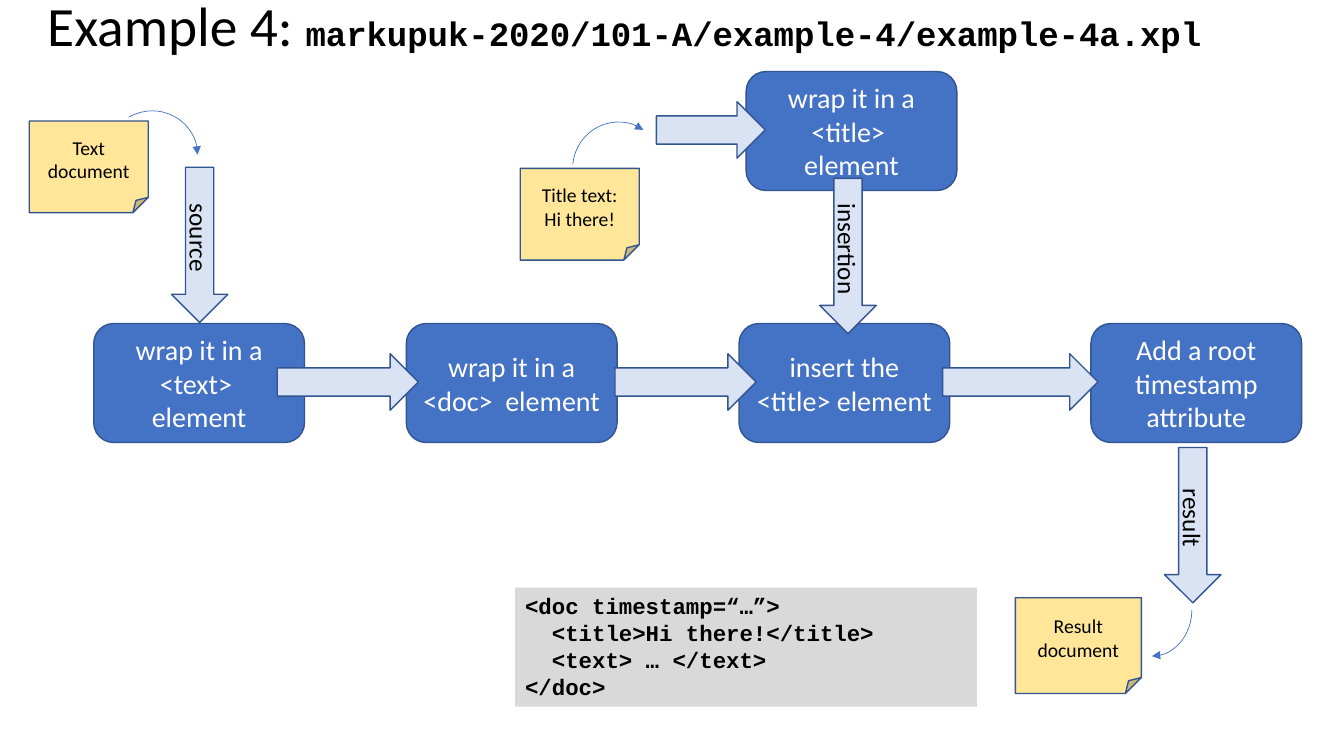
from lxml import etree
from pptx import Presentation
from pptx.dml.color import RGBColor
from pptx.enum.shapes import MSO_SHAPE
from pptx.enum.text import MSO_ANCHOR, PP_ALIGN
from pptx.oxml.ns import qn
from pptx.util import Inches, Pt

STEP, ARROW = MSO_SHAPE.ROUNDED_RECTANGLE, MSO_SHAPE.RIGHT_ARROW
NOTE, ARC, PANEL = MSO_SHAPE.FOLDED_CORNER, MSO_SHAPE.ARC, MSO_SHAPE.RECTANGLE
MIDDLE, TOP = MSO_ANCHOR.MIDDLE, MSO_ANCHOR.TOP
CENTER, LEFT = PP_ALIGN.CENTER, PP_ALIGN.LEFT
BODY_FONT, CODE_FONT = "Calibri", "Courier New"
COLORS = {
    "step": "4472C4", "outline": "325491", "arrow": "DAE3F3", "note": "FFE699",
    "panel": "D9D9D9", "black": "000000", "white": "FFFFFF",
}
ROW_TOP = 3.21
STEPS = [
    (0.93, ROW_TOP, "wrap it in a <text>  element"),
    (4.03, ROW_TOP, "wrap it in a <doc>  element"),
    (7.33, ROW_TOP, "insert the <title> element"),
    (10.82, ROW_TOP, "Add a root timestamp attribute"),
    (7.4, 0.71, "wrap it in a <title>  element"),
]
FLOW_ARROWS = [(2.75, 3.51, 1.4), (6.1, 3.51, 1.4), (9.35, 3.51, 1.54), (6.51, 1.01, 1.08)]
PORT_ARROWS = [(1.21, 2.15, "source"), (11.06, 4.93, "result"), (7.64, 2.26, "insertion")]
NOTES = [
    (0.29, 1.2, 1.18, 0.91, "Text document"),
    (10.07, 5.93, 1.25, 0.95, "Result document"),
    (5.16, 1.67, 1.18, 0.91, "Title text:\vHi there!"),
]
CODE_LINES = ["<doc timestamp=“…”>", "  <title>Hi there!</title>", "  <text> … </text>", "</doc>"]


def color(name):
    """Return the named colour."""
    return RGBColor.from_string(COLORS[name])


def style_font(font, name, size, shade, bold=False):
    """Set the face, size, colour and weight of a font."""
    font.name, font.size, font.bold = name, Pt(size), bold
    font.color.rgb = color(shade)


def add_filled(page, kind, area, fill, outline="outline"):
    """Add a filled preset shape, outlined unless outline is None."""
    shape = page.shapes.add_shape(kind, *map(Inches, area))
    shape.shadow.inherit = False
    shape.fill.solid()
    shape.fill.fore_color.rgb = color(fill)
    if outline:
        shape.line.color.rgb = color(outline)
        shape.line.width = Pt(1)
    else:
        shape.line.fill.background()
    return shape


def add_label(shape, text, size, shade):
    """Write one centred label in a shape."""
    shape.text_frame.vertical_anchor = MIDDLE
    para = shape.text_frame.paragraphs[0]
    para.text = text
    para.alignment = CENTER
    style_font(para.font, BODY_FONT, size, shade)


def add_arc(page, area, end, start_angle=None, rotation=0, flip=False):
    """Add a thin curved arrow with its head at the given line end."""
    arc = page.shapes.add_shape(ARC, *map(Inches, area))
    arc.shadow.inherit = False
    arc.fill.background()
    arc.line.color.rgb = color("step")
    arc.line.width = Pt(0.5)
    arc.rotation = rotation
    if start_angle:
        arc.adjustments[0] = start_angle
    if flip:
        arc.element.spPr.find(qn("a:xfrm")).set("flipV", "1")
    line = arc.element.spPr.find(qn("a:ln"))
    etree.SubElement(line, qn(f"a:{end}End")).set("type", "triangle")


def add_title(page):
    """Add the heading with its file path."""
    box = page.shapes.add_textbox(Inches(0.37), Inches(0), Inches(12.3), Inches(0.56))
    frame = box.text_frame
    frame.word_wrap = True
    frame.vertical_anchor = MIDDLE
    para = frame.paragraphs[0]
    para.line_spacing = 0.9
    for text, name, size, bold in [
        ("Example 4: ", BODY_FONT, 39.6, False),
        ("markupuk-2020/101-A/example-4/example-4a.xpl", CODE_FONT, 24.3, True),
    ]:
        span = para.add_run()
        span.text = text
        style_font(span.font, name, size, "black", bold)


def add_code(page):
    """Add the panel with the resulting document."""
    panel = add_filled(page, PANEL, (5.11, 5.83, 4.58, 1.18), "panel", None)
    frame = panel.text_frame
    frame.vertical_anchor = TOP
    frame.text = "\n".join(CODE_LINES)
    for para in frame.paragraphs:
        para.alignment = LEFT
        style_font(para.font, CODE_FONT, 16, "black", True)


def main():
    """Build the pipeline slide and save it."""
    deck = Presentation()
    deck.slide_width, deck.slide_height = Inches(13.33), Inches(7.5)
    page = deck.slides.add_slide(deck.slide_layouts[6])
    add_title(page)
    for left, top, text in STEPS:
        step = add_filled(page, STEP, (left, top, 2.09, 1.18), "step")
        add_label(step, text, 20, "white")
    for left, top, width in FLOW_ARROWS:
        add_filled(page, ARROW, (left, top, width, 0.56), "arrow")
    for left, top, text in PORT_ARROWS:
        arrow = add_filled(page, ARROW, (left, top, 1.54, 0.56), "arrow")
        arrow.rotation = 90
        add_label(arrow, text, 18, "black")
    for *area, text in NOTES:
        add_label(add_filled(page, NOTE, area, "note"), text, 14, "black")
    add_arc(page, (1.06, 1.1, 0.9, 0.87), "tail", 142.79)
    add_arc(page, (5.67, 1.22, 0.9, 0.87), "tail", 142.79, rotation=305.5)
    add_arc(page, (11.03, 5.6, 0.79, 0.91), "head", flip=True)
    add_code(page)
    deck.save("out.pptx")


if __name__ == "__main__":
    main()
